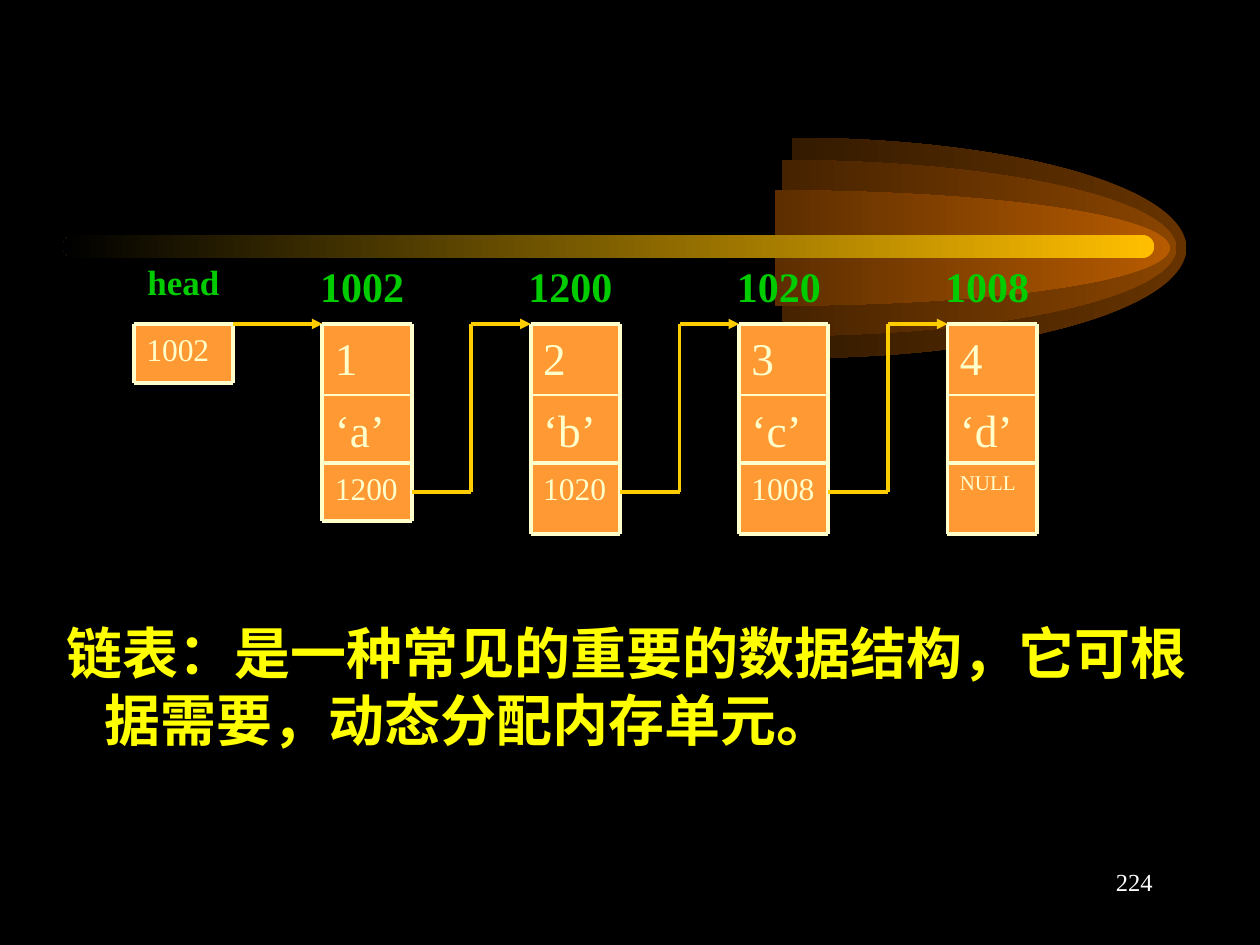
from pptx import Presentation
from pptx import util as u
from pptx.dml.color import RGBColor
from pptx.enum import shapes as s, text as t
from pptx.oxml.ns import qn
from lxml import etree

Cm, Pt = u.Cm, u.Pt

BLACK = RGBColor(0x00, 0x00, 0x00)
WHITE = RGBColor(0xFF, 0xFF, 0xFF)
ORANGE = RGBColor(0xFF, 0x99, 0x33)
CREAM = RGBColor(0xFF, 0xFF, 0xCC)
GOLD = RGBColor(0xFF, 0xCC, 0x00)
AMBER = RGBColor(0xFF, 0xBF, 0x00)
GREEN = RGBColor(0x00, 0xCC, 0x00)
YELLOW = RGBColor(0xFF, 0xFF, 0x00)
DARK = RGBColor(0x66, 0x33, 0x00)
BROWN = RGBColor(0x89, 0x44, 0x00)
RUST = RGBColor(0xB7, 0x5B, 0x00)

SERIF = "Times New Roman"
CELL = {"name": SERIF, "color": CREAM, "bold": False}
LABEL = {"name": SERIF, "color": GREEN, "bold": True}
PAGE = {"name": SERIF, "color": WHITE, "bold": False, "size": Pt(14)}
BODY = {"name": "Arial", "color": YELLOW, "bold": True, "size": Pt(32)}

# Comet layers: left, height (cm), head colour
COMET = [(8.02, 4.44, DARK), (7.82, 3.54, BROWN), (7.69, 2.32, RUST)]
AXIS, SPAN = 5.0, 15.9

# List nodes: address, number, letter, next address, its size, its cell height
NODES = [
    ("1002", "1", "‘a’", "1200", 18, 1.18),
    ("1200", "2", "‘b’", "1020", 18, 1.44),
    ("1020", "3", "‘c’", "1008", 18, 1.44),
    ("1008", "4", "‘d’", "NULL", 12, 1.44),
]
LEFT, PITCH, WIDE = 6.5, 4.2, 1.8
TOP, ROW, NEXT, LINK = 6.53, 1.44, 9.33, 9.92


def style(font, form):
    for key, val in form.items():
        if key == "color":
            font.color.rgb = val
        else:
            setattr(font, key, val)


def write(shape, words, form, align=t.PP_ALIGN.LEFT):
    frame = shape.text_frame
    look = {
        "word_wrap": True,
        "auto_size": t.MSO_AUTO_SIZE.NONE,
        "vertical_anchor": t.MSO_ANCHOR.TOP,
        "margin_left": Cm(0.25),
        "margin_right": Cm(0.25),
        "margin_top": Cm(0.13),
        "margin_bottom": Cm(0.13),
    }
    for key, val in look.items():
        setattr(frame, key, val)
    para = frame.paragraphs[0]
    para.alignment = align
    run = para.add_run()
    run.text = words
    style(run.font, form)


def label(slide, words, x, y, w, h, form, align=t.PP_ALIGN.CENTER):
    box = slide.shapes.add_textbox(Cm(x), Cm(y), Cm(w), Cm(h))
    write(box, words, form, align)


def cell(slide, words, x, y, w, h, size):
    box = slide.shapes.add_shape(s.MSO_SHAPE.RECTANGLE, Cm(x), Cm(y), Cm(w), Cm(h))
    box.shadow.inherit = False
    box.fill.solid()
    box.fill.fore_color.rgb = ORANGE
    box.line.fill.background()
    write(box, words, {**CELL, "size": Pt(size)})
    return box


def line(slide, x1, y1, x2, y2, color, width, arrow=False):
    link = slide.shapes.add_connector(
        s.MSO_CONNECTOR.STRAIGHT, Cm(x1), Cm(y1), Cm(x2), Cm(y2))
    link.line.color.rgb = color
    link.line.width = Pt(width)
    props = link._element.spPr
    if arrow:
        etree.SubElement(props.find(qn("a:ln")), qn("a:tailEnd"), type="triangle")
    etree.SubElement(props, qn("a:effectLst"))
    return link


def border(slide, x, y, w, h):
    r, b = x + w, y + h
    for ends in [(x, y, r, y), (x, b, r, b), (x, y, x, b), (r, y, r, b)]:
        line(slide, *ends, CREAM, 2.25)


def glow(slide, kind, x, y, w, h, color):
    """Add a shape that fades from its colour at the right to black."""
    shape = slide.shapes.add_shape(kind, Cm(x), Cm(y), Cm(w), Cm(h))
    shape.shadow.inherit = False
    shape.line.fill.background()
    shape.fill.gradient()
    shape.fill.gradient_angle = 180
    for stop, tone in zip(shape.fill.gradient_stops, (color, BLACK)):
        stop.color.rgb = tone
    return shape


def comet(slide):
    for x, high, color in COMET:
        arc = glow(slide, s.MSO_SHAPE.ARC, x, AXIS - high / 2, SPAN, high, color)
        arc.adjustments[1] = 54  # sweep down to 90 degrees
    bar = glow(slide, s.MSO_SHAPE.ROUNDED_RECTANGLE, 1.27, 4.74, 22, 0.46, AMBER)
    bar.adjustments[0] = 0.5


def head(slide):
    x, w, h = 2.7, 2, 1.19
    label(slide, "head", x - 0.2, 5.13, 2.4, 1.12, {**LABEL, "size": Pt(20)})
    cell(slide, "1002", x, TOP, w, h, 18)
    border(slide, x, TOP, w, h)
    line(slide, x + w, TOP, LEFT, TOP, GOLD, 2, arrow=True)


def node(slide, x, addr, num, char, succ, size, high):
    label(slide, addr, x - 0.4, 5.13, 2.4, 1.27, {**LABEL, "size": Pt(24)})
    mid = TOP + ROW
    cell(slide, num, x, TOP, WIDE, ROW, 25.9)
    cell(slide, char, x, mid, WIDE, ROW, 25.9)
    line(slide, x, mid, x + WIDE, mid, CREAM, 1)
    border(slide, x, TOP, WIDE, 2 * ROW)
    box = cell(slide, succ, x, NEXT, WIDE, high, size)
    border(slide, x, NEXT, WIDE, high)
    return box


def link(slide, box, x):
    """Lead from the next cell up to the top of the following node."""
    start, turn, end = x + WIDE, x + 3, x + PITCH
    first = line(slide, start, LINK, turn, LINK, GOLD, 2)
    if abs(box.top + box.height / 2 - Cm(LINK)) < Cm(0.05):
        first.begin_connect(box, 3)
    line(slide, turn, LINK, turn, TOP, GOLD, 2)
    line(slide, turn, TOP, end, TOP, GOLD, 2, arrow=True)


def body(slide):
    hold = slide.placeholders[1]
    spot = {"left": 1.09, "top": 12.33, "width": 23.4, "height": 2.97}
    for key, val in spot.items():
        setattr(hold, key, Cm(val))
    para = hold.text_frame.paragraphs[0]
    props = para._p.get_or_add_pPr()
    props.set("marL", str(Cm(0.76)))
    props.set("indent", str(-Cm(0.76)))
    etree.SubElement(props, qn("a:buNone"))
    para.space_before = Pt(0)
    write(hold, "链表：是一种常见的重要的数据结构，它可根据需要，动态分配内存单元。", BODY)


def main():
    deck = Presentation()
    deck.slide_width, deck.slide_height = Cm(25.4), Cm(19.05)
    slide = deck.slides.add_slide(deck.slide_layouts[1])
    slide.background.fill.solid()
    slide.background.fill.fore_color.rgb = BLACK
    title = slide.shapes.title._element
    title.getparent().remove(title)

    # Decoration and text
    comet(slide)
    body(slide)

    # Linked list
    head(slide)
    spots = [LEFT + i * PITCH for i in range(len(NODES))]
    boxes = [node(slide, x, *data) for x, data in zip(spots, NODES)]
    for box, x in zip(boxes[:-1], spots):
        link(slide, box, x)

    # Page number
    label(slide, "224", 18.21, 17.35, 5.28, 1.27, PAGE, t.PP_ALIGN.RIGHT)
    deck.save("out.pptx")


if __name__ == "__main__":
    main()
